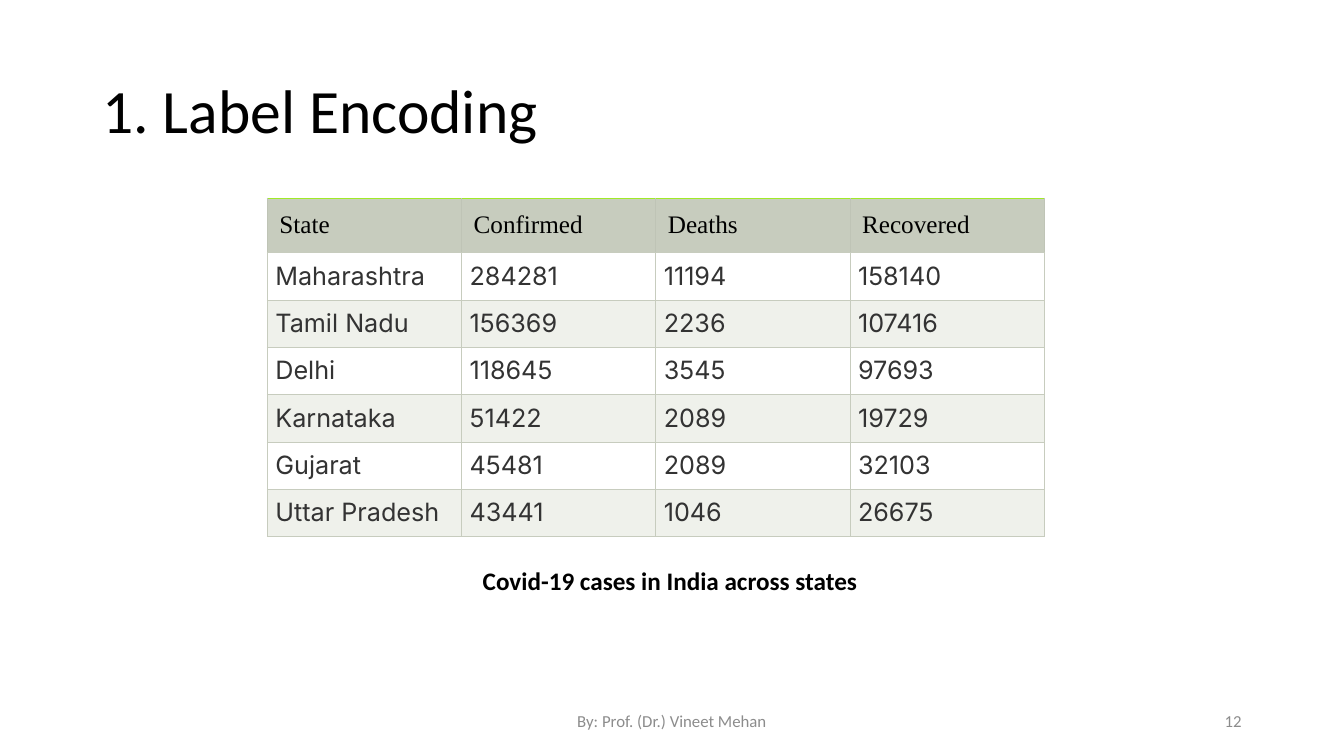
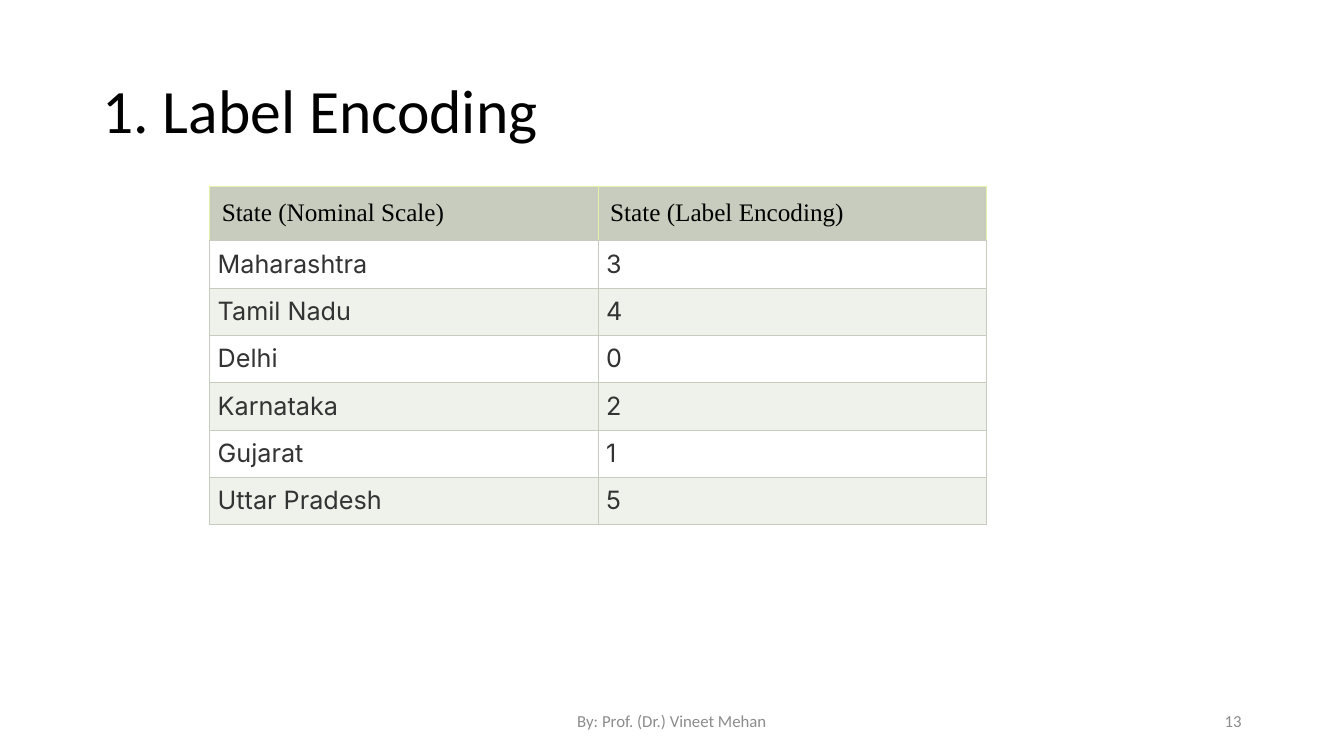
import pptx
import pptx.dml.color
import pptx.enum.text
import pptx.oxml
import pptx.oxml.ns
import pptx.util

Pt = pptx.util.Pt
ALIGN = pptx.enum.text.PP_ALIGN
ANCHOR = pptx.enum.text.MSO_ANCHOR

COLORS = {
    "black": "000000",
    "body": "333333",
    "footer": "8C8C8C",
    "white": "FFFFFF",
    "band": "EFF1EB",
    "header": "C7CCBE",
    "divider": "BFC4B6",
    "green": "A0EA28",
    "lime": "E0F3A9",
}
HEADER_HEIGHT, ROW_HEIGHT = 37.8, 33.8
TABLE_WIDTH = 555

CASES = [
    ("State", "Confirmed", "Deaths", "Recovered"),
    ("Maharashtra", "284281", "11194", "158140"),
    ("Tamil Nadu", "156369", "2236", "107416"),
    ("Delhi", "118645", "3545", "97693"),
    ("Karnataka", "51422", "2089", "19729"),
    ("Gujarat", "45481", "2089", "32103"),
    ("Uttar Pradesh", "43441", "1046", "26675"),
]
LABELS = [
    ("State (Nominal Scale)", "State (Label Encoding)"),
    ("Maharashtra", "3"),
    ("Tamil Nadu", "4"),
    ("Delhi", "0"),
    ("Karnataka", "2"),
    ("Gujarat", "1"),
    ("Uttar Pradesh", "5"),
]


def rgb(name):
    return pptx.dml.color.RGBColor.from_string(COLORS[name])


def write(frame, text, size=18, font="Calibri", color="black", bold=False,
          align=ALIGN.LEFT, spacing=1.0):
    para = frame.paragraphs[0]
    para.alignment = align
    para.line_spacing = spacing
    span = para.add_run()
    span.text = text
    span.font.size = Pt(size)
    span.font.name = font
    span.font.bold = bold
    span.font.color.rgb = rgb(color)


def add_text(page, area, text, anchor=ANCHOR.MIDDLE, wrap=True, **style):
    box = page.shapes.add_textbox(*(Pt(length) for length in area))
    box.text_frame.word_wrap = wrap
    box.text_frame.vertical_anchor = anchor
    write(box.text_frame, text, **style)


def set_borders(cell, left, right, top, bottom):
    properties = cell._tc.get_or_add_tcPr()
    namespace = pptx.oxml.ns.nsdecls("a")
    for side, color in zip("LRTB", (left, right, top, bottom)):
        properties.append(pptx.oxml.parse_xml(
            f'<a:ln{side} {namespace} w="{Pt(0.75)}"><a:solidFill>'
            f'<a:srgbClr val="{COLORS[color]}"/></a:solidFill></a:ln{side}>'))


def fill_cell(cell, text, fill, inset, **style):
    cell.margin_left = cell.margin_right = Pt(inset)
    cell.margin_top = cell.margin_bottom = Pt(inset)
    cell.fill.solid()
    cell.fill.fore_color.rgb = rgb(fill)
    write(cell.text_frame, text, **style)


def add_state_table(page, left, top, rows, top_color, side_color):
    height = HEADER_HEIGHT + ROW_HEIGHT * (len(rows) - 1)
    table = page.shapes.add_table(len(rows), len(rows[0]), Pt(left), Pt(top),
                                  Pt(TABLE_WIDTH), Pt(height)).table
    for column in table.columns:
        column.width = Pt(TABLE_WIDTH / len(rows[0]))
    for index, values in enumerate(rows):
        table.rows[index].height = Pt(ROW_HEIGHT if index else HEADER_HEIGHT)
        for column, text in enumerate(values):
            cell = table.cell(index, column)
            if index == 0:
                set_borders(cell, side_color, side_color, top_color, "header")
                fill_cell(cell, text, "header", 8.6, font="Times New Roman")
            else:
                set_borders(cell, *["header"] * 4)
                fill_cell(cell, text, "white" if index % 2 else "band", 5.7,
                          font="Inter", color="body", align=ALIGN.JUSTIFY)


def add_page(deck, title, number):
    page = deck.slides.add_slide(deck.slide_layouts[6])
    # Title
    add_text(page, (66, 28.8, 828, 104.4), title, size=44, spacing=0.9)
    # Footer: author and page number
    footer = {"size": 12, "color": "footer"}
    add_text(page, (318, 500.5, 324, 28.8), "By: Prof. (Dr.) Vineet Mehan",
             align=ALIGN.CENTER, **footer)
    add_text(page, (678, 500.5, 216, 28.8), str(number),
             align=ALIGN.RIGHT, **footer)
    return page


def main():
    deck = pptx.Presentation()
    deck.slide_width, deck.slide_height = Pt(960), Pt(540)

    # Cases by state
    page = add_page(deck, "1. Label Encoding", 12)
    add_state_table(page, 191, 141.8, CASES, "green", "divider")
    add_text(page, (337.7, 400.5, 284.4, 29), "Covid-19 cases in India across states",
             anchor=ANCHOR.TOP, wrap=False, bold=True)

    # States as numeric labels
    page = add_page(deck, "1. Label Encoding", 13)
    add_state_table(page, 149.8, 133.2, LABELS, "lime", "lime")

    deck.save("out.pptx")


if __name__ == "__main__":
    main()
